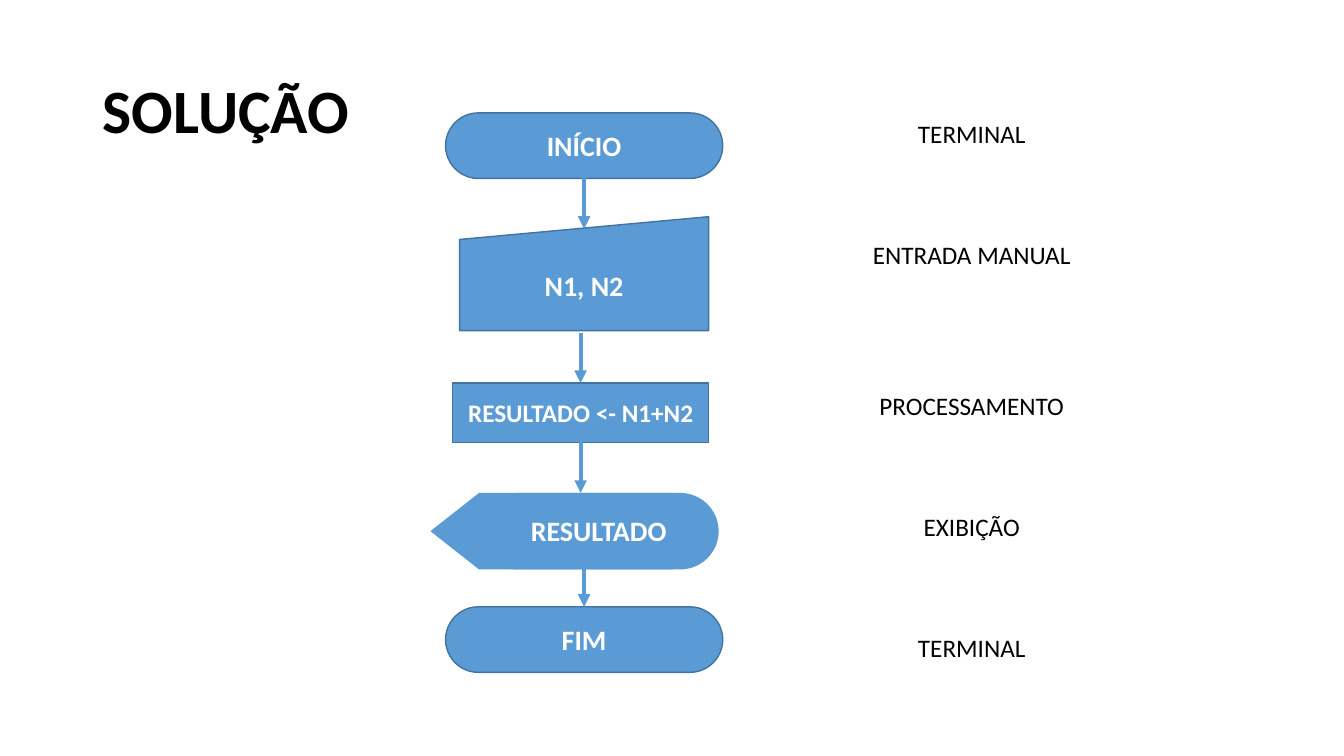
from dataclasses import dataclass

from lxml import etree
from pptx import Presentation
from pptx.dml.color import RGBColor
from pptx.enum.shapes import MSO_CONNECTOR, MSO_SHAPE
from pptx.enum.text import MSO_ANCHOR, PP_ALIGN
from pptx.oxml.ns import qn
from pptx.util import Inches, Pt

STRAIGHT = MSO_CONNECTOR.STRAIGHT
ROUNDED, MANUAL_INPUT = MSO_SHAPE.ROUNDED_RECTANGLE, MSO_SHAPE.FLOWCHART_MANUAL_INPUT
PROCESS, TERMINATOR = MSO_SHAPE.FLOWCHART_PROCESS, MSO_SHAPE.FLOWCHART_TERMINATOR
OFFPAGE = MSO_SHAPE.FLOWCHART_OFFPAGE_CONNECTOR
LEFT, CENTER = PP_ALIGN.LEFT, PP_ALIGN.CENTER
TOP, MIDDLE = MSO_ANCHOR.TOP, MSO_ANCHOR.MIDDLE
TOP_SITE, BOTTOM_SITE = 0, 2

COLUMNS, ROWS = 133.33, 75  # square grid cells
CELL = Inches(7.5) / ROWS


@dataclass(frozen=True)
class Theme:
    font: str = "Calibri"
    step: RGBColor = RGBColor(0x5B, 0x9B, 0xD5)
    outline: RGBColor = RGBColor(0x43, 0x73, 0x9E)
    on_step: RGBColor = RGBColor(0xFF, 0xFF, 0xFF)
    ink: RGBColor = RGBColor(0, 0, 0)
    title_size: float = 44
    step_size: float = 20
    body_size: float = 18
    body_line: float = 21.6
    outline_width: float = 1
    arrow_width: float = 3


@dataclass(frozen=True)
class Box:
    """An area measured in grid columns and rows."""
    x: float
    y: float
    w: float
    h: float

    def inner(self, x, y, w, h):
        return Box(self.x + x, self.y + y, w, h)

    def emu(self):
        return [round(n * CELL) for n in (self.x, self.y, self.w, self.h)]


THEME = Theme()


def write(frame, text, size=THEME.body_size, color=THEME.ink, bold=False,
          align=CENTER, anchor=TOP, line_spacing=None, gaps=()):
    """Write one paragraph per line of text; gaps holds the space before each."""
    frame.word_wrap = True
    frame.vertical_anchor = anchor
    for index, line in enumerate(text.split("\n")):
        paragraph = frame.paragraphs[0] if index == 0 else frame.add_paragraph()
        paragraph.alignment = align
        paragraph.line_spacing = line_spacing
        if gaps:
            paragraph.space_before = Pt(gaps[index])
        run = paragraph.add_run()
        run.text = line
        run.font.name, run.font.size, run.font.bold = THEME.font, Pt(size), bold
        run.font.color.rgb = color


def add_block(shapes, kind, box, outlined=True):
    block = shapes.add_shape(kind, *box.emu())
    block.shadow.inherit = False
    block.fill.solid()
    block.fill.fore_color.rgb = THEME.step
    if outlined:
        block.line.color.rgb = THEME.outline
        block.line.width = Pt(THEME.outline_width)
    else:
        block.line.fill.background()
    return block


def add_step(shapes, kind, box, text, size=THEME.step_size):
    step = add_block(shapes, kind, box)
    if kind == ROUNDED:
        step.adjustments[0] = 0.5
    write(step.text_frame, text, size, THEME.on_step, bold=True, anchor=MIDDLE)
    return step


def add_display(shapes, box, text):
    """Build the display symbol from a rounded body and a pointed left end."""
    parts = shapes.add_group_shape().shapes
    add_block(parts, TERMINATOR, box.inner(4.8, 0, box.w - 4.8, box.h), outlined=False)
    length = 24.1
    upright = box.inner((length - box.h) / 2, (box.h - length) / 2, box.h, length)
    add_block(parts, OFFPAGE, upright, outlined=False).rotation = 90
    label = parts.add_textbox(*box.inner(7.4, 1.6, 18.6, 4.4).emu())
    write(label.text_frame, text, THEME.step_size, THEME.on_step, bold=True)


def add_arrow(shapes, box, x, start, end, source=None, target=None):
    """Draw a downward arrow, joined to the steps that are given."""
    x, start, end = (round(n * CELL) for n in (box.x + x, box.y + start, box.y + end))
    arrow = shapes.add_connector(STRAIGHT, x, start, x, end)
    if source:
        arrow.begin_connect(source, BOTTOM_SITE)
    if target:
        arrow.end_connect(target, TOP_SITE)
    # Joining may shift one end by a rounding step; keep the arrow upright.
    arrow.begin_x = arrow.end_x = arrow.begin_x if source else arrow.end_x
    arrow.line.color.rgb = THEME.step
    arrow.line.width = Pt(THEME.arrow_width)
    etree.SubElement(arrow.line._get_or_add_ln(), qn("a:tailEnd"), type="triangle")
    etree.SubElement(arrow._element.spPr, qn("a:effectLst"))


def place_title(slide, box, text):
    title = slide.shapes.title
    title.left, title.top, title.width, title.height = box.emu()
    write(title.text_frame, text, THEME.title_size, bold=True,
          align=LEFT, anchor=MIDDLE, line_spacing=0.9)


def draw_flowchart(slide, box):
    shapes = slide.shapes
    terminal_h = 6.5
    first, last = (
        add_step(shapes, ROUNDED, box.inner(1.5, y, 27.5, terminal_h), text)
        for y, text in ((0, "INÍCIO"), (box.h - terminal_h, "FIM"))
    )
    add_step(shapes, MANUAL_INPUT, box.inner(2.9, 10.3, 24.7, 11.3), "N1, N2")
    process = add_step(shapes, PROCESS, box.inner(2.2, 26.8, 25.4, 5.9),
                       "RESULTADO <- N1+N2", THEME.body_size)
    add_display(shapes, box.inner(0, 37.7, 28.6, 7.6), "RESULTADO")
    for x, start, end, source, target in (
        (15.25, 6.5, 11.5, first, None),
        (14.9, 21.8, 26.8, None, process),
        (14.9, 32.7, 37.7, process, None),
        (15.25, 45.1, 49, None, last),
    ):
        add_arrow(shapes, box, x, start, end, source, target)


def list_symbol_names(slide, box):
    names = "TERMINAL\nENTRADA MANUAL\nPROCESSAMENTO\nEXIBIÇÃO\nTERMINAL"
    lines_before = (0, 3, 4, 3, 3)
    column = slide.shapes.add_textbox(*box.emu())
    write(column.text_frame, names, gaps=[n * THEME.body_line for n in lines_before])


def main():
    deck = Presentation()
    deck.slide_width, deck.slide_height = round(COLUMNS * CELL), round(ROWS * CELL)
    slide = deck.slides.add_slide(deck.slide_layouts.get_by_name("Title Only"))
    place_title(slide, Box(9.2, 4, 115, 14.5), "SOLUÇÃO")
    draw_flowchart(slide, Box(42.7, 11.2, 29, 55.5))
    list_symbol_names(slide, Box(83.9, 11.2, 25, 55.5))
    deck.save("out.pptx")


if __name__ == "__main__":
    main()
